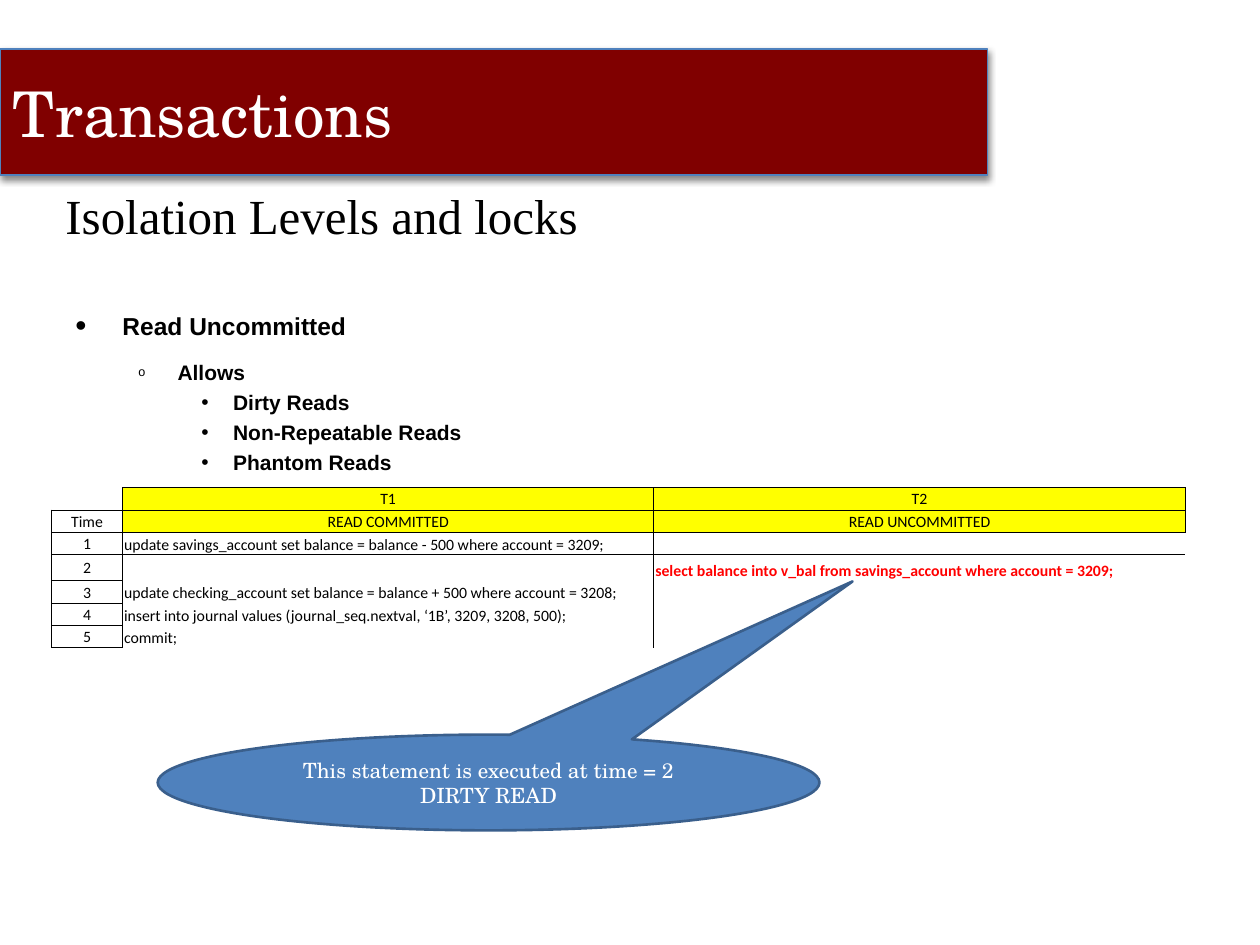
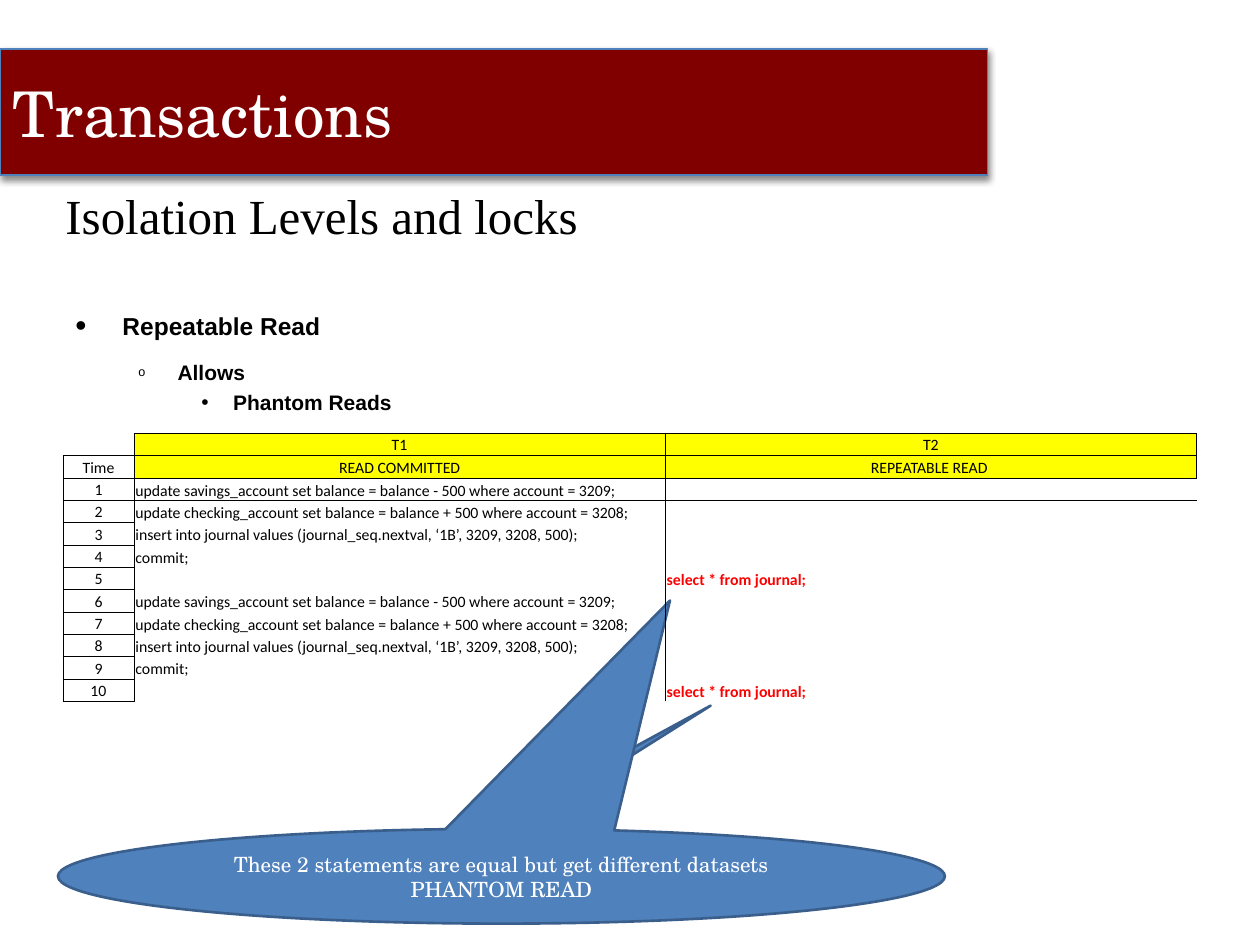
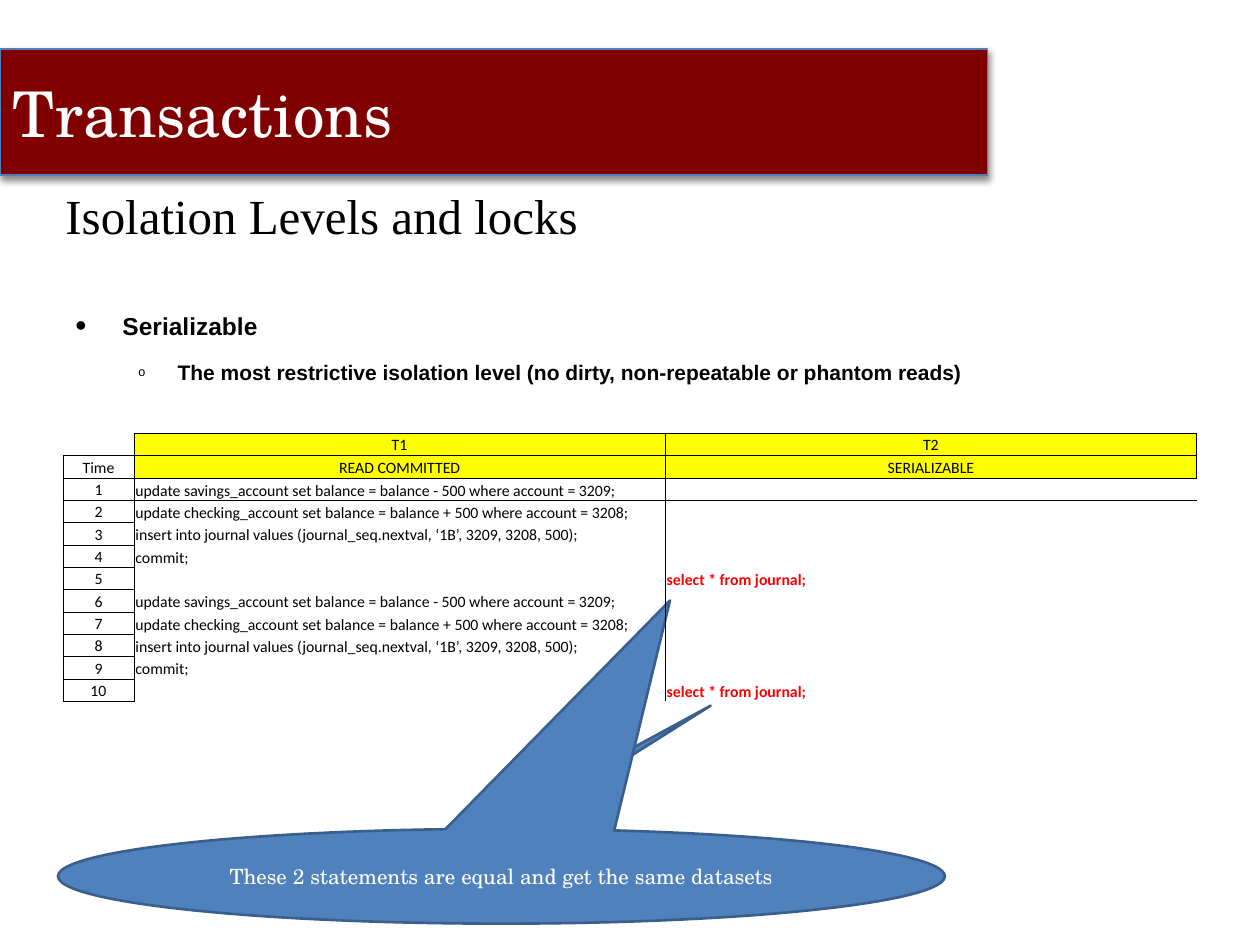
from lxml import etree
from pptx import Presentation
from pptx.dml.color import RGBColor
from pptx.enum import shapes, text
from pptx.oxml import ns
from pptx.util import Cm, Pt

HUES = {"band": "800000", "blue": "4F81BD", "edge": "3A5F8C", "head": "FFFF00",
        "alert": "FF0000", "ink": "000000", "pale": "FFFFFF"}
SERIF, SANS, CELL, TITLE = "TeX Gyre Schola", "Arial", "Calibri", "Times New Roman"
PLAIN_GRID = "{2D5ABB26-0587-4C30-8999-92F81FD0307C}"

TAKE = "update savings_account set balance = balance - 500 where account = 3209;"
GIVE = "update checking_account set balance = balance + 500 where account = 3208;"
LOG = "insert into journal values (journal_seq.nextval, ‘1B’, 3209, 3208, 500);"
DONE = "commit;"
PEEK = "select balance into v_bal from savings_account where account = 3209;"
LIST = "select * from journal;"

# Each step is the statement of T1 and the statement of T2
MOVE = [(TAKE, ""), (GIVE, ""), (LOG, ""), (DONE, "")]
TWICE = (MOVE + [("", LIST)]) * 2

# Callout: place in cm, tip as a share of the size, lines of text
NEAR = ((7.19, 16.81, 2.54, 1.7), (2.31, -2.02), [])
WIDE = ((1.17, 16.71, 17.88, 1.91), (0.19, -2.91))

SLIDES = [
    {"points": [(0, "Read Uncommitted"), (1, "Allows"), (2, "Dirty Reads"),
                (2, "Non-Repeatable Reads"), (2, "Phantom Reads")],
     "level": "READ UNCOMMITTED", "at": (1.04, 9.83), "tall": 2,
     "steps": [(TAKE, ""), ("", PEEK), (GIVE, ""), (LOG, ""), (DONE, "")],
     "calls": [((3.18, 14.81, 13.34, 1.93), (0.55, -2.1),
                ["This statement is executed at time = 2", "DIRTY READ"])]},
    {"points": [(0, "Repeatable Read"), (1, "Allows"), (2, "Phantom Reads")],
     "level": "REPEATABLE READ ", "at": (1.27, 8.74), "tall": None, "steps": TWICE,
     "calls": [NEAR, (*WIDE, ["These 2 statements are equal but get different datasets",
                              "PHANTOM READ"])]},
    {"points": [(0, "Serializable"),
                (1, "The most restrictive isolation level "
                    "(no dirty, non-repeatable or phantom reads)")],
     "level": "SERIALIZABLE", "at": (1.27, 8.74), "tall": None, "steps": TWICE,
     "calls": [NEAR, (*WIDE, ["These 2 statements are equal and get the same datasets"])]},
]

# Bullet levels: text size, left margin in cm, hang in cm, mark, mark size in %
LEVELS = [(14, 0.95, 0.95, "•", 130), (12, 2.06, 0.79, "o", 60), (12, 3.18, 0.64, "•", 100)]
SPACES = [{"line_spacing": 1.5, "space_before": Pt(2)},
          {"line_spacing": 1.5, "space_before": Pt(4)},
          {"space_before": Pt(2.8)}]
COLS, ROW, TALL = (1.43, 10.71, 10.71), 0.45, 0.53
SIDES = {"lnL": (0, -1), "lnR": (0, 1), "lnT": (-1, 0), "lnB": (1, 0)}


def rgb(hue):
    return RGBColor.from_string(HUES[hue])


def put(obj, **vals):
    for name, val in vals.items():
        setattr(obj, name, val)


def node(root, tag, **vals):
    return etree.SubElement(root, ns.qn("a:" + tag), {k: str(v) for k, v in vals.items()})


def write(para, words, size, face, hue="ink", bold=False):
    run = para.add_run()
    run.text = words
    put(run.font, size=Pt(size), name=face, bold=bold)
    run.font.color.rgb = rgb(hue)


def lines(frame, items):
    """Yield a paragraph of the frame for each item."""
    for i, item in enumerate(items):
        yield (frame.add_paragraph() if i else frame.paragraphs[0]), item


def box(slide, place):
    frame = slide.shapes.add_textbox(*map(Cm, place)).text_frame
    frame.word_wrap = True
    return frame


def solid(slide, kind, place, fill, edge, width):
    shape = slide.shapes.add_shape(kind, *map(Cm, place))
    shape.shadow.inherit = False
    shape.fill.solid()
    shape.fill.fore_color.rgb = rgb(fill)
    shape.line.color.rgb = rgb(edge)
    shape.line.width = Pt(width)
    put(shape.text_frame, vertical_anchor=text.MSO_ANCHOR.MIDDLE, word_wrap=True)
    return shape


def banner(slide):
    band = solid(slide, shapes.MSO_SHAPE.RECTANGLE, (0, 0.99, 19.91, 2.54),
                 "band", "blue", 0.75)
    para = band.text_frame.paragraphs[0]
    para.alignment = text.PP_ALIGN.LEFT
    write(para, "Transactions", 36, SERIF, "pale")
    glow = node(band._element.spPr.find(ns.qn("a:effectLst")), "outerShdw",
                blurRad=Pt(4), dist=Pt(2), dir=5400000, rotWithShape=0)
    node(node(glow, "srgbClr", val=HUES["ink"]), "alpha", val=45000)


def callout(slide, place, tip, words):
    shape = solid(slide, shapes.MSO_SHAPE.OVAL_CALLOUT, place, "blue", "edge", 1.5)
    for i, share in enumerate(tip):
        shape.adjustments[i] = share
    for para, line in lines(shape.text_frame, words):
        para.alignment = text.PP_ALIGN.CENTER
        write(para, line, 12, SERIF, "pale")


def outline(slide, points):
    for para, (level, words) in lines(box(slide, (1.27, 5.84, 22.86, 11.94)), points):
        size, left, hang, mark, share = LEVELS[level]
        put(para, level=level, **SPACES[level])
        props = para._p.get_or_add_pPr()
        props.set("marL", str(Cm(left)))
        props.set("indent", str(-Cm(hang)))
        node(props, "buSzPct", val=share * 1000)
        node(props, "buFont", typeface=SANS)
        node(props, "buChar", char=mark)
        write(para, words, size, SANS, bold=True)


def boxed(row, col):
    """Tell whether a cell has a border all round: the heads and the time column."""
    return (row < 2 or col == 0) and (row, col) != (0, 0)


def border(cell, row, col, size):
    props = cell._tc.get_or_add_tcPr()
    for tag, (down, right) in SIDES.items():
        r, c = row + down, col + right
        inside = 0 <= r < size and 0 <= c < len(COLS)
        if boxed(row, col) or inside and boxed(r, c):
            edge = node(props, tag, w=Pt(0.5))
            node(node(edge, "solidFill"), "srgbClr", val=HUES["ink"])


def schedule(slide, level, steps, at, tall):
    data = [("", "T1", "T2"), ("Time", "READ COMMITTED", level)]
    data += [(str(i), *step) for i, step in enumerate(steps, 1)]
    high = [TALL if tall and i == tall + 1 else ROW for i in range(len(data))]
    place = (*at, sum(COLS), sum(high))
    grid = slide.shapes.add_table(len(data), len(COLS), *map(Cm, place)).table
    grid._tbl.tblPr.find(ns.qn("a:tableStyleId")).text = PLAIN_GRID
    put(grid, first_row=False, horz_banding=False)
    for col, width in zip(grid.columns, COLS):
        col.width = Cm(width)
    for r, words in enumerate(data):
        grid.rows[r].height = Cm(high[r])
        for c, word in enumerate(words):
            cell, mid = grid.cell(r, c), boxed(r, c)
            put(cell, margin_left=Cm(0.03), margin_right=Cm(0.03), margin_top=Cm(0.03),
                margin_bottom=0,
                vertical_anchor=text.MSO_ANCHOR.MIDDLE if mid else text.MSO_ANCHOR.BOTTOM)
            border(cell, r, c, len(data))
            if mid and c:
                cell.fill.solid()
                cell.fill.fore_color.rgb = rgb("head")
            para = cell.text_frame.paragraphs[0]
            para.alignment = text.PP_ALIGN.CENTER if mid else text.PP_ALIGN.LEFT
            if word:
                alert = c == 2 and not mid
                write(para, word, 9, CELL, "alert" if alert else "ink", alert)
            else:
                node(para._p, "endParaRPr", sz=900)


def main():
    deck = Presentation()
    put(deck, slide_width=Cm(25.4), slide_height=Cm(19.05))
    for page in SLIDES:
        slide = deck.slides.add_slide(deck.slide_layouts[6])
        banner(slide)
        for call in page["calls"]:
            callout(slide, *call)
        head = box(slide, (1.07, 3.61, 22.86, 2.54))
        write(head.paragraphs[0], "Isolation Levels and locks", 28, TITLE)
        outline(slide, page["points"])
        schedule(slide, page["level"], page["steps"], page["at"], page["tall"])
    deck.save("out.pptx")


if __name__ == "__main__":
    main()
